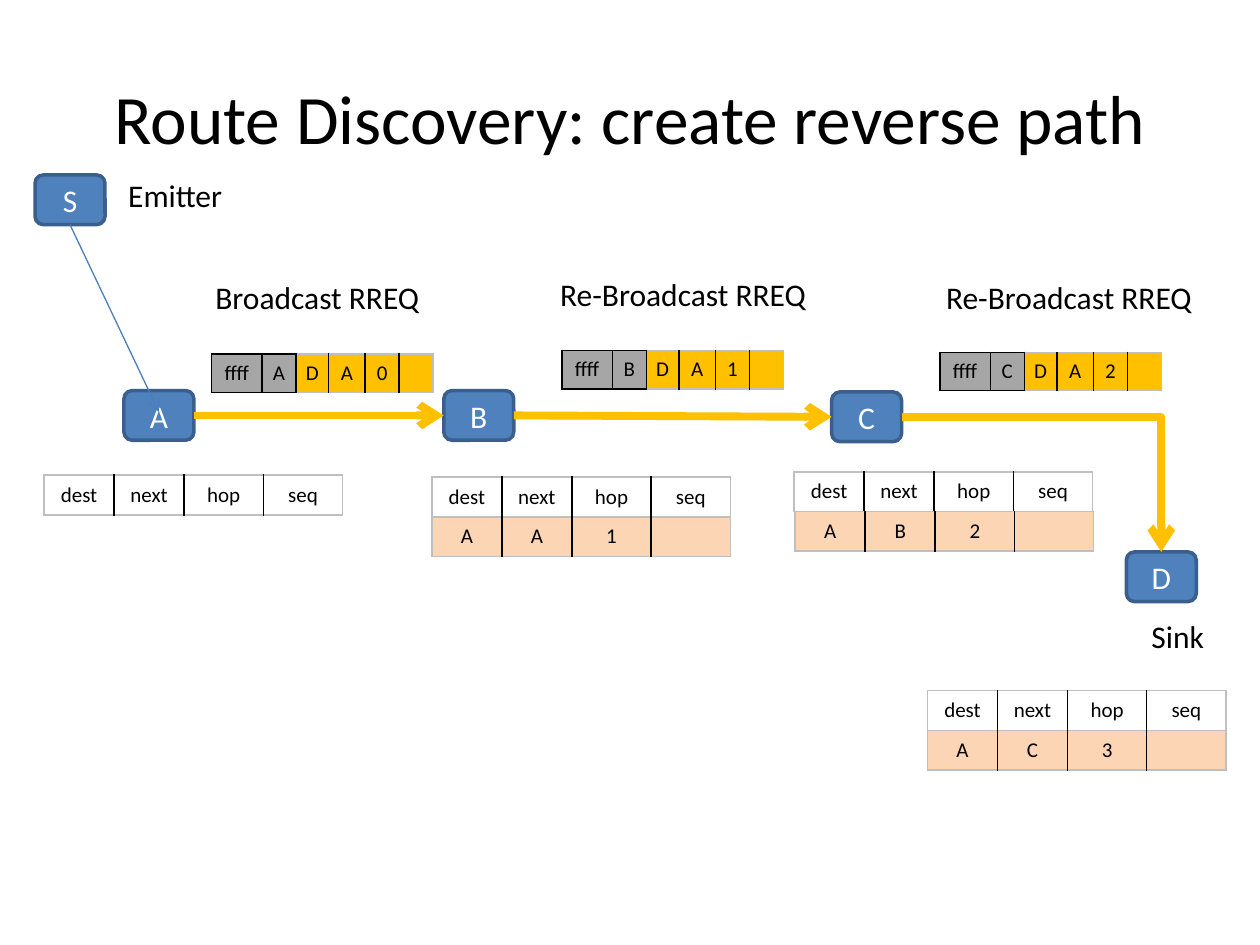
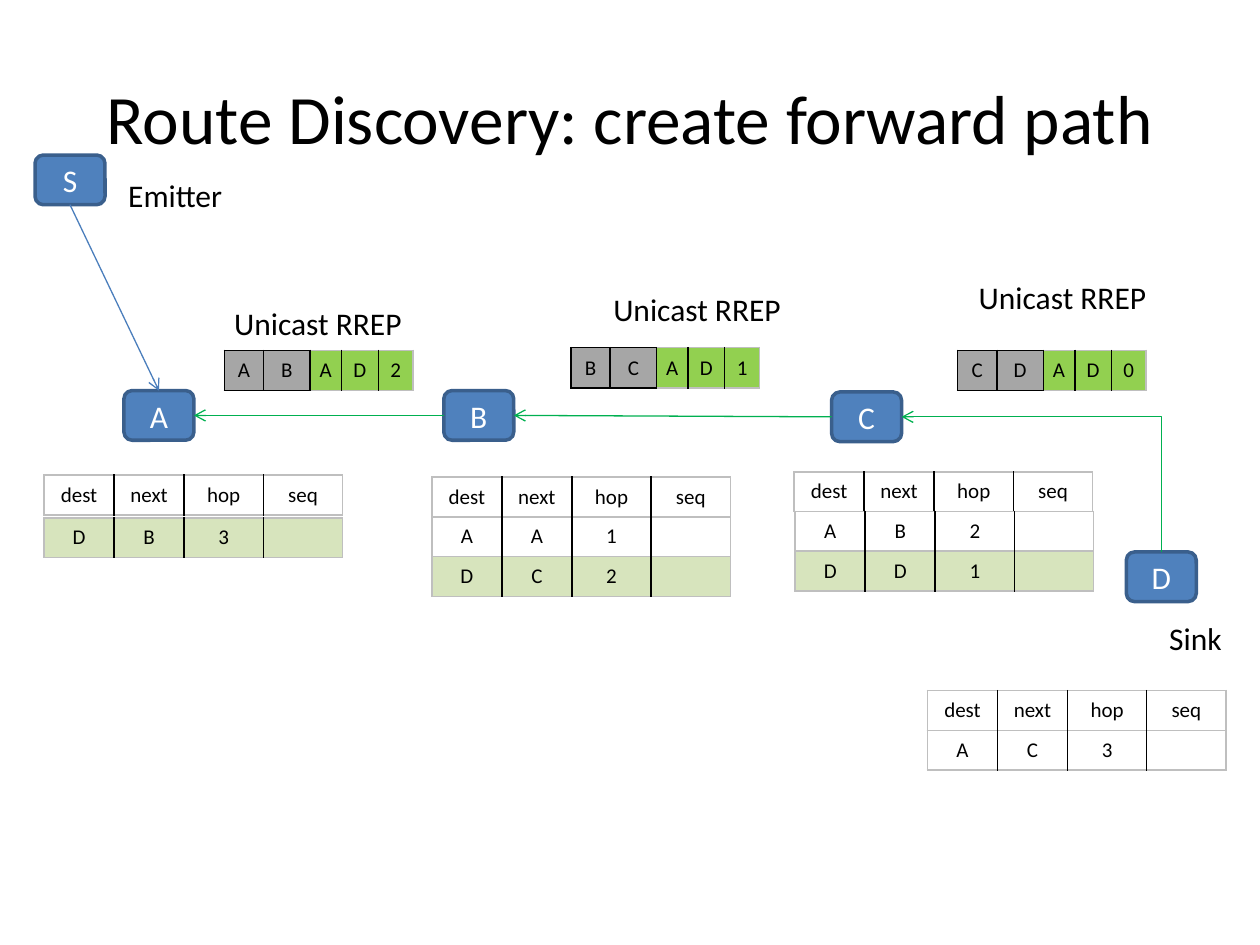
from lxml.etree import SubElement
from pptx import Presentation
from pptx.dml.color import RGBColor
from pptx.enum.shapes import MSO_CONNECTOR, MSO_SHAPE
from pptx.enum.text import MSO_ANCHOR, MSO_AUTO_SIZE, PP_ALIGN
from pptx.oxml.ns import qn
from pptx.util import Pt

# Shared look
FONT = "Calibri"
BLACK, WHITE = "000000", "FFFFFF"
NODE_FILL, NODE_LINE, SOURCE_LINK = "4F81BD", "3A5F8C", "4B7EBC"
HEADER_GREY, EDGE_GREY = "A6A6A6", "BFBFBF"
REQUEST, REVERSE_ROUTE = "FFC000", "FCD5B5"
REPLY, REPLY_LINK, FORWARD_ROUTE = "92D050", "00B050", "D7E4BD"

# Shared geometry, in points
NODE_W, NODE_H = 40, 28.4
NODE_PLACES = {"A": (70.8, 223.2), "B": (253.6, 223.2),
               "C": (475.2, 224), "D": (643.6, 315.4)}
TOP, LEFT, BOTTOM, RIGHT = range(4)
ROUTE_COLS = (40, 40, 45.3, 45.3)
ROUTE_H = 22.7
ROUTE_HEADER = ("dest", "next", "hop", "seq")
REQUEST_COLS = (28.8, 19.4, 18.7, 20.9, 19.4, 19.4)
REPLY_COLS = (22.5, 26.5, 18, 21, 19.8)


def rgb(hex_color):
    return RGBColor.from_string(hex_color)


def write_text(frame, text, size=18, color=BLACK, align=PP_ALIGN.LEFT,
               anchor=MSO_ANCHOR.TOP, wrap=True):
    frame.word_wrap = wrap
    frame.vertical_anchor = anchor
    paragraph = frame.paragraphs[0]
    paragraph.alignment = align
    run = paragraph.add_run()
    run.text = text
    run.font.name = FONT
    run.font.size = Pt(size)
    run.font.color.rgb = rgb(color)


def add_titled_slide(prs, text):
    slide = prs.slides.add_slide(prs.slide_layouts[5])
    title = slide.shapes.title
    title.left, title.top, title.width, title.height = Pt(36), Pt(21.6), Pt(648), Pt(90)
    title.text_frame.auto_size = MSO_AUTO_SIZE.NONE
    write_text(title.text_frame, text, size=39.6, align=PP_ALIGN.CENTER,
               anchor=MSO_ANCHOR.MIDDLE)
    return slide


def add_label(slide, text, left, top, width):
    label = slide.shapes.add_textbox(Pt(left), Pt(top), Pt(width), Pt(28.8))
    write_text(label.text_frame, text, wrap=False)


def add_node(slide, name, left, top):
    node = slide.shapes.add_shape(MSO_SHAPE.ROUNDED_RECTANGLE, Pt(left), Pt(top),
                                  Pt(NODE_W), Pt(NODE_H))
    node.shadow.inherit = False
    node.fill.solid()
    node.fill.fore_color.rgb = rgb(NODE_FILL)
    node.line.color.rgb = rgb(NODE_LINE)
    node.line.width = Pt(2)
    write_text(node.text_frame, name, color=WHITE, align=PP_ALIGN.CENTER,
               anchor=MSO_ANCHOR.MIDDLE)
    return node


def add_nodes(slide, emitter_top):
    places = {"S": (20, emitter_top), **NODE_PLACES}
    return {name: add_node(slide, name, *place) for name, place in places.items()}


def add_link(slide, start, start_side, end=None, end_side=None, end_point=(0, 0),
             color=BLACK, width=0.75, kind=MSO_CONNECTOR.STRAIGHT, arrow="tailEnd"):
    """Arrow from a node's side to another node's side or to a free point."""
    x, y = end_point
    link = slide.shapes.add_connector(kind, 0, 0, Pt(x), Pt(y))
    link.begin_connect(start, start_side)
    if end is not None:
        link.end_connect(end, end_side)
    link.line.color.rgb = rgb(color)
    link.line.width = Pt(width)
    properties = link._element.spPr
    SubElement(properties.find(qn("a:ln")), qn(f"a:{arrow}"), type="arrow")
    SubElement(properties, qn("a:effectLst"))
    if kind == MSO_CONNECTOR.ELBOW:
        # One bend only: across, then down
        properties.find(qn("a:prstGeom")).set("prst", "bentConnector2")


def set_borders(cell, colors):
    for side, color in colors.items():
        edge = SubElement(cell._tc.get_or_add_tcPr(), qn(f"a:ln{side}"), w=str(Pt(1)))
        fill = SubElement(edge, qn("a:solidFill"))
        SubElement(fill, qn("a:srgbClr"), val=color)


def add_strip(slide, values, left, top, cols, height, fills):
    """One-row table: black dividers, grey rim, black rim around grey cells."""
    table = slide.shapes.add_table(1, len(cols), Pt(left), Pt(top),
                                   Pt(sum(cols)), Pt(height)).table
    table.first_row = table.horz_banding = False
    table.rows[0].height = Pt(height)
    for i, (value, width, fill) in enumerate(zip(values, cols, fills)):
        table.columns[i].width = Pt(width)
        cell = table.cell(0, i)
        cell.margin_left = cell.margin_right = cell.margin_top = cell.margin_bottom = 0
        cell.vertical_anchor = MSO_ANCHOR.MIDDLE
        rim = BLACK if fill == HEADER_GREY else EDGE_GREY
        set_borders(cell, {"L": BLACK if i else rim,
                           "R": BLACK if i < len(cols) - 1 else rim,
                           "T": rim, "B": rim})
        if fill:
            cell.fill.solid()
            cell.fill.fore_color.rgb = rgb(fill)
        else:
            cell.fill.background()
        if value:
            write_text(cell.text_frame, value, size=12, align=PP_ALIGN.CENTER,
                       anchor=MSO_ANCHOR.MIDDLE)


def add_packet(slide, values, left, top, cols, height, color):
    fills = [HEADER_GREY] * 2 + [color] * (len(cols) - 2)
    add_strip(slide, values, left, top, cols, height, fills)


def add_routes(slide, left, top, routes, shift=0, gap=0):
    """Header strip, then one strip per (values, fill) route."""
    add_strip(slide, ROUTE_HEADER, left, top, ROUTE_COLS, ROUTE_H, [None] * 4)
    for i, (values, fill) in enumerate(routes, 1):
        add_strip(slide, [*values, ""], left + shift, top + gap + i * ROUTE_H,
                  ROUTE_COLS, ROUTE_H, [fill] * 4)


def add_all_routes(slide, old_fill, new_routes):
    """Routing tables of A to D: reverse routes, then any forward routes."""
    reverse = {"A": [], "B": ["AA1"], "C": ["AB2"], "D": ["AC3"]}
    places = {"A": (25.2, 271.5), "B": (246.8, 272.7),
              "C": (453.8, 269.6), "D": (530, 394.6)}
    for name, (left, top) in places.items():
        routes = [(route, old_fill) for route in reverse[name]]
        if name in new_routes:
            routes.append((new_routes[name], FORWARD_ROUTE))
        add_routes(slide, left, top, routes, shift=0.6 if name == "C" else 0,
                   gap=1.8 if name == "A" else 0)


def build_reverse_path(prs):
    slide = add_titled_slide(prs, "Route Discovery: create reverse path")
    nodes = add_nodes(slide, 100)
    add_all_routes(slide, REVERSE_ROUTE, {})

    # Flooded request, hop by hop
    hops = (("A", "B", RIGHT, LEFT, MSO_CONNECTOR.CURVE),
            ("B", "C", RIGHT, LEFT, MSO_CONNECTOR.STRAIGHT),
            ("C", "D", RIGHT, TOP, MSO_CONNECTOR.ELBOW))
    for start, end, start_side, end_side, kind in hops:
        add_link(slide, nodes[start], start_side, nodes[end], end_side,
                 color=REQUEST, width=4.5, kind=kind)
    add_link(slide, nodes["S"], BOTTOM, end_point=(90.8, 235.4), color=SOURCE_LINK)

    # Request packets
    packets = (("A", "0", 120.9, 202.3), ("B", "1", 321.1, 200.2), ("C", "2", 537.1, 201.3))
    for sender, hop, left, top in packets:
        add_packet(slide, ("ffff", sender, "D", "A", hop, ""), left, top,
                   REQUEST_COLS, 22, REQUEST)

    add_label(slide, "Broadcast RREQ", 116, 155.5, 132.5)
    add_label(slide, "Re-Broadcast RREQ", 313, 153.4, 156)
    add_label(slide, "Re-Broadcast RREQ", 533.5, 155.5, 156)
    add_label(slide, "Emitter", 66.2, 97.2, 69)
    add_label(slide, "Sink", 650.9, 349.2, 44.6)


def build_forward_path(prs):
    slide = add_titled_slide(prs, "Route Discovery: create forward path")
    nodes = add_nodes(slide, 88.6)
    add_all_routes(slide, None, {"A": "DB3", "B": "DC2", "C": "DD1"})

    # Reply, back along the reverse path
    add_link(slide, nodes["C"], RIGHT, nodes["D"], TOP, color=REPLY_LINK,
             kind=MSO_CONNECTOR.ELBOW, arrow="headEnd")
    for start, end in ("CB", "BA"):
        add_link(slide, nodes[start], LEFT, nodes[end], RIGHT, color=REPLY_LINK)
    add_link(slide, nodes["S"], BOTTOM, nodes["A"], TOP, color=SOURCE_LINK)

    # Reply packets
    packets = (("ABAD2", 128.2, 200.2), ("BCAD1", 326.2, 198.7), ("CDAD0", 547.2, 200.2))
    for values, left, top in packets:
        add_packet(slide, values, left, top, REPLY_COLS, 23, REPLY)

    for left, top in ((126.7, 170), (343.4, 162), (552.2, 155.5)):
        add_label(slide, "Unicast RREP", left, top, 111)
    add_label(slide, "Emitter", 66.2, 97.2, 69)
    add_label(slide, "Sink", 661, 350, 44.6)


def main():
    prs = Presentation()
    prs.slide_width, prs.slide_height = Pt(720), Pt(540)
    build_reverse_path(prs)
    build_forward_path(prs)
    prs.save("out.pptx")


if __name__ == "__main__":
    main()
